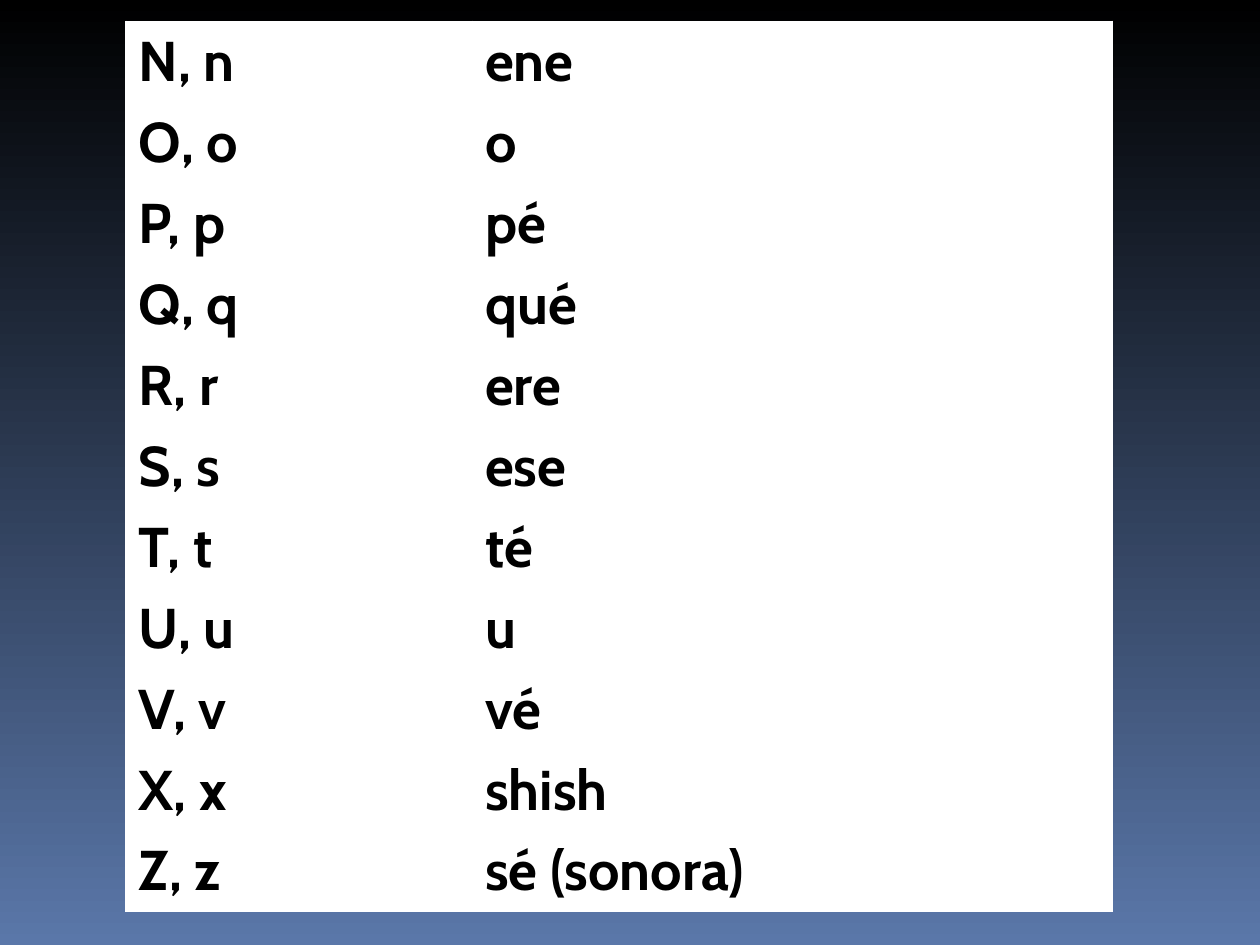
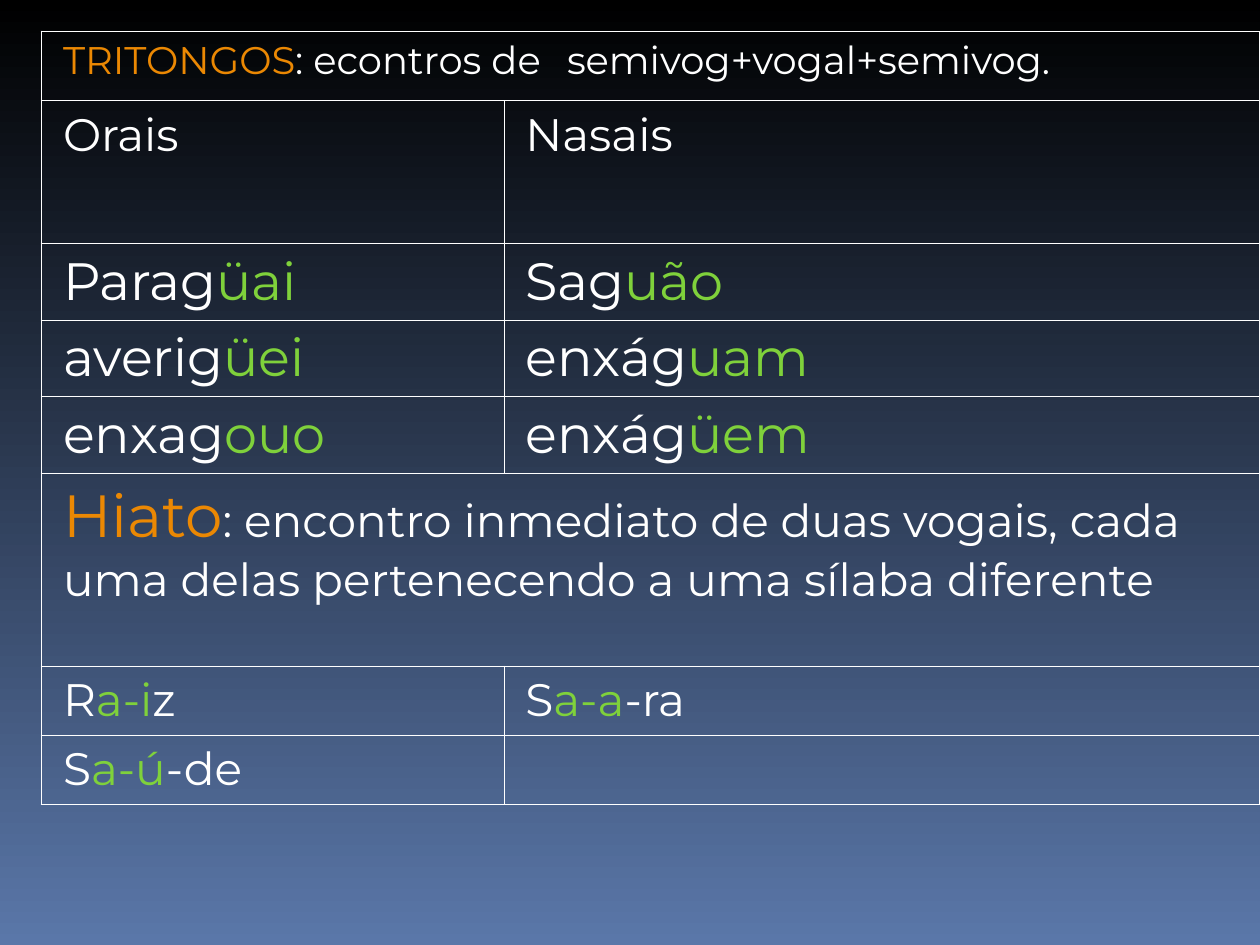
from lxml import etree
from pptx import Presentation
from pptx.dml.color import RGBColor
from pptx.oxml.ns import qn
from pptx.util import Inches, Pt

BLACK, WHITE, BLUE = "000000", "FFFFFF", "5A77A9"
ORANGE, GREEN = "EB8803", "7FD13B"
OUTER, INNER = 1.08, 0.45
INDENT, TAB = 0.07, 4.1

LETTERS = [
    ("N, n", "ene"), ("O, o", "o"), ("P, p", "pé"), ("Q, q", "qué"),
    ("R, r", "ere"), ("S, s", "ese"), ("T, t", "té"), ("U, u", "u"),
    ("V, v", "vé"), ("X, x", "shish"), ("Z, z", "sé (sonora)"),
]

# Each row: height, then one list of (text, size, colour) runs per cell.
VOWELS = [
    (0.55, [[("TRITONGOS", 22, ORANGE),
             (": econtros de\tsemivog+vogal+semivog.", 22, WHITE)]]),
    (1.13, [[("Orais", 26, WHITE)], [("Nasais", 26, WHITE)]]),
    (0.6, [[("Parag", 30, WHITE), ("üai", 30, GREEN)],
           [("Sag", 30, WHITE), ("uão", 30, GREEN)]]),
    (0.6, [[("averig", 30, WHITE), ("üei", 30, GREEN)],
           [("enxág", 30, WHITE), ("uam", 30, GREEN)]]),
    (0.6, [[("enxag", 30, WHITE), ("ouo", 30, GREEN)],
           [("enxág", 30, WHITE), ("üem", 30, GREEN)]]),
    (1.53, [[("Hiato", 34, ORANGE),
             (": encontro inmediato de duas vogais, cada uma delas "
              "pertenecendo a uma sílaba diferente", 26, WHITE)]]),
    (0.55, [[("R", 26, WHITE), ("a-i", 26, GREEN), ("z", 26, WHITE)],
            [("S", 26, WHITE), ("a-a", 26, GREEN), ("-ra", 26, WHITE)]]),
    (0.55, [[("S", 26, WHITE), ("a-ú", 26, GREEN), ("-de", 26, WHITE)], []]),
]


def rgb(color):
    return RGBColor.from_string(color)


def add_slide(prs):
    s = prs.slides.add_slide(prs.slide_layouts[6])
    fill = s.background.fill
    fill.gradient()
    fill.gradient_angle = 270
    for stop, color in zip(fill.gradient_stops, (BLACK, BLUE)):
        stop.color.rgb = rgb(color)
    return s


def add_table(s, left, top, widths, heights):
    frame = s.shapes.add_table(len(heights), len(widths), Inches(left), Inches(top),
                               Inches(sum(widths)), Inches(sum(heights)))
    table = frame.table
    table.first_row = table.horz_banding = False
    for column, width in zip(table.columns, widths):
        column.width = Inches(width)
    for row, height in zip(table.rows, heights):
        row.height = Inches(height)
    return table


def add_run(p, text, font, size, color, bold=False):
    r = p.add_run()
    r.text = text
    r.font.name, r.font.size, r.font.bold = font, Pt(size), bold
    r.font.color.rgb = rgb(color)


def set_borders(cell, widths):
    tcPr = cell._tc.get_or_add_tcPr()
    for i, (side, width) in enumerate(zip("LRTB", widths)):
        ln = etree.Element(qn(f"a:ln{side}"), w=str(int(Pt(width))))
        fill = etree.SubElement(ln, qn("a:solidFill"))
        etree.SubElement(fill, qn("a:srgbClr"), val=WHITE)
        tcPr.insert(i, ln)


def set_indent(p):
    pPr = p._p.get_or_add_pPr()
    pPr.set("marL", str(Inches(INDENT)))
    pPr.set("indent", "0")
    tabs = etree.SubElement(pPr, qn("a:tabLst"))
    etree.SubElement(tabs, qn("a:tab"), pos=str(Inches(TAB)), algn="l")


def letters_slide(prs):
    table = add_table(add_slide(prs), 1, 0.17, [2.75, 5.08], [0.635] * len(LETTERS))
    for i, names in enumerate(LETTERS):
        for j, text in enumerate(names):
            cell = table.cell(i, j)
            cell.fill.solid()
            cell.fill.fore_color.rgb = rgb(WHITE)
            add_run(cell.text_frame.paragraphs[0], text, "Cabin", 32, BLACK, True)


def vowels_slide(prs):
    heights = [height for height, _ in VOWELS]
    table = add_table(add_slide(prs), 0.33, 0.25, [3.67, 6], heights)
    last = len(VOWELS) - 1
    for i, (_, cells) in enumerate(VOWELS):
        if len(cells) == 1:
            table.cell(i, 0).merge(table.cell(i, 1))
        for j, runs in enumerate(cells):
            cell = table.cell(i, j)
            cell.fill.background()
            edges = (j == 0, j == len(cells) - 1, i == 0, i == last)
            set_borders(cell, [OUTER if edge else INNER for edge in edges])
            p = cell.text_frame.paragraphs[0]
            set_indent(p)
            for text, size, color in runs:
                add_run(p, text, "Montserrat", size, color)


def main():
    prs = Presentation()
    prs.slide_width, prs.slide_height = Inches(10), Inches(7.5)
    letters_slide(prs)
    vowels_slide(prs)
    prs.save("out.pptx")


if __name__ == "__main__":
    main()
